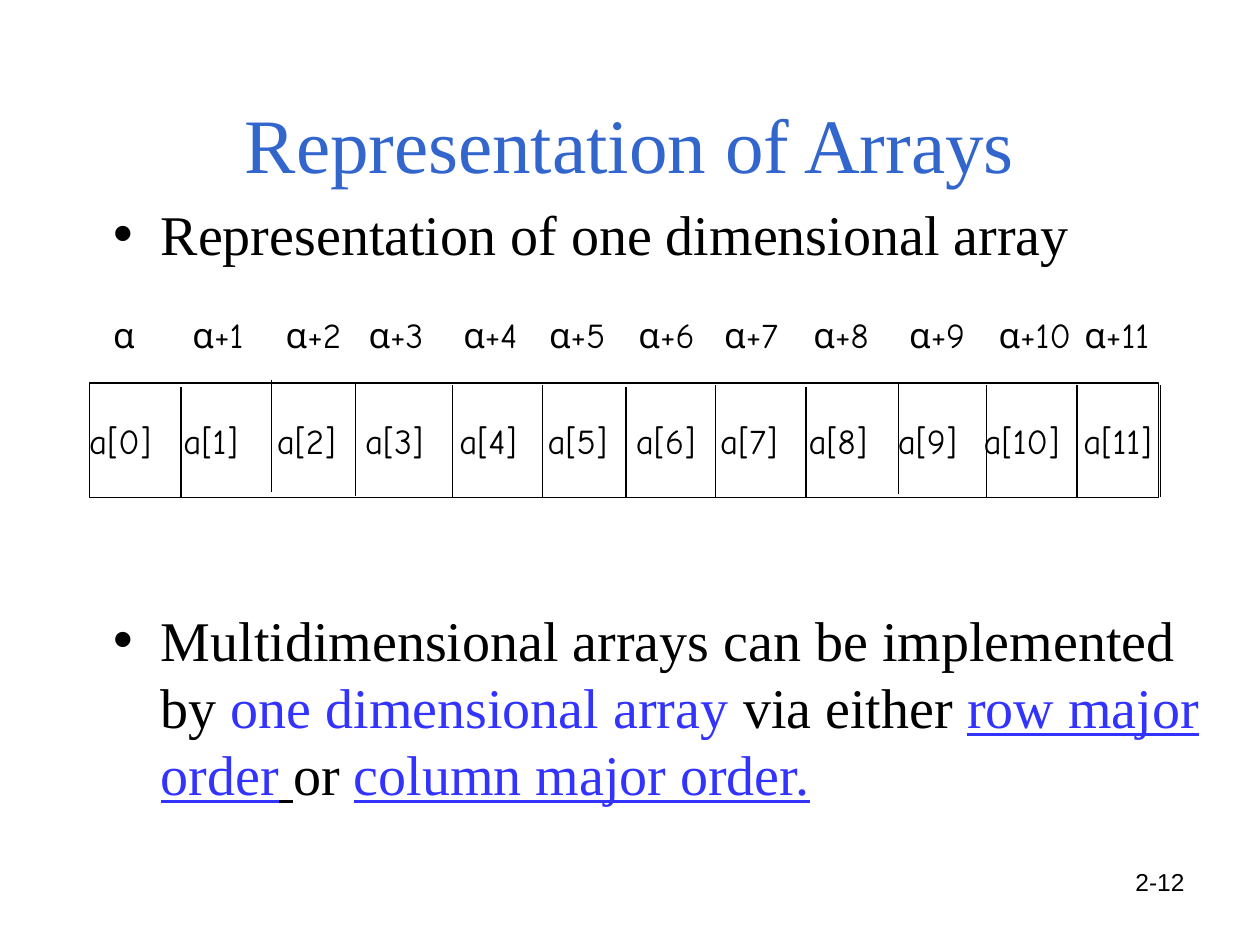
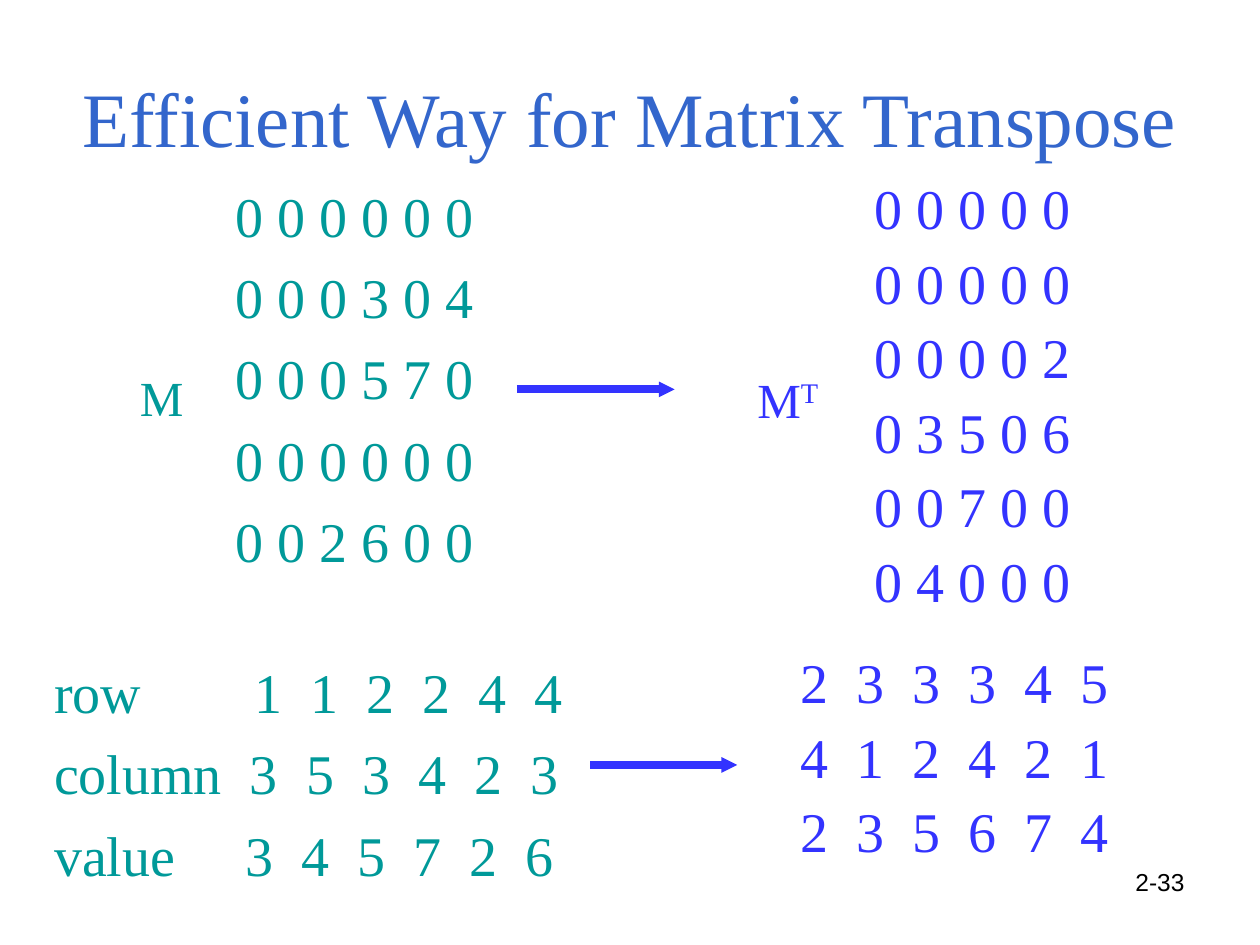
from lxml.etree import SubElement
from pptx import Presentation
from pptx.dml.color import RGBColor
from pptx.enum.shapes import MSO_CONNECTOR, MSO_SHAPE
from pptx.enum.text import MSO_ANCHOR, MSO_AUTO_SIZE, PP_ALIGN
from pptx.oxml.ns import qn
from pptx.util import Cm, Pt

SERIF, COMIC, SANS = "Times New Roman", "Comic Neue", "Arial"
TITLE_BLUE, BLUE, TEAL, BLACK = "3366CC", "3333FF", "009999", "000000"

ADDRESS_LEFTS = (
    0.23, 1.83, 3.71, 5.38, 7.29, 9.02, 10.82, 12.55, 14.35, 16.28, 18.08, 19.81
)
ELEMENT_LEFTS = (
    -0.25, 1.65, 3.53, 5.31, 7.21, 8.99, 10.77, 12.47, 14.25, 16.05, 17.78, 19.79
)
DIVIDERS = (
    (1.85, 0.08), (3.68, -0.05), (5.36, 0.03), (7.32, 0.05),
    (9.14, 0.05), (10.82, 0.08), (12.62, 0.05), (14.45, 0.08),
    (16.31, 0), (18.08, 0.05), (19.91, 0.05), (21.59, 0.05),
)


def color(hex_string):
    return RGBColor.from_string(hex_string)


def format_runs(paragraph, font, size, hex_string):
    for run in paragraph.runs:
        run.font.name = font
        run.font.size = Pt(size)
        run.font.color.rgb = color(hex_string)


def place(shape, box):
    shape.left, shape.top, shape.width, shape.height = (Cm(value) for value in box)
    frame = shape.text_frame
    frame.word_wrap = True
    frame.auto_size = MSO_AUTO_SIZE.NONE
    frame.margin_left = frame.margin_right = Cm(0.25)
    frame.margin_top = frame.margin_bottom = Cm(0.13)
    return frame


def add_text(slide, box, text, font, size, hex_string, align=PP_ALIGN.LEFT):
    shape = slide.shapes.add_textbox(*(Cm(value) for value in box))
    frame = place(shape, box)
    frame.text = text
    for paragraph in frame.paragraphs:
        paragraph.alignment = align
        format_runs(paragraph, font, size, hex_string)
    return frame


def add_line(slide, start, end, hex_string, width, arrow=False):
    points = (Cm(value) for value in (*start, *end))
    connector = slide.shapes.add_connector(MSO_CONNECTOR.STRAIGHT, *points)
    connector.line.color.rgb = color(hex_string)
    connector.line.width = Pt(width)
    properties = connector._element.spPr
    if arrow:
        line = properties.find(qn("a:ln"))
        SubElement(line, qn("a:tailEnd"), type="triangle", w="sm", len="sm")
    SubElement(properties, qn("a:effectLst"))


def add_slide(presentation, layout, title, anchor, number):
    slide = presentation.slides.add_slide(presentation.slide_layouts[layout])
    frame = place(slide.shapes.title, (1.27, 0.76, 22.86, 3.18))
    frame.text = title
    frame.vertical_anchor = anchor
    frame.paragraphs[0].alignment = PP_ALIGN.CENTER
    format_runs(frame.paragraphs[0], SERIF, 44, TITLE_BLUE)
    add_text(slide, (18.21, 17.35, 5.92, 1.32), number, SANS, 14, BLACK, PP_ALIGN.RIGHT)
    return slide


def add_bullets(slide, box, bullets, gap):
    frame = place(slide.placeholders[1], box)
    for index, pieces in enumerate(bullets):
        paragraph = frame.add_paragraph() if index else frame.paragraphs[0]
        paragraph.space_before = Pt(gap if index else 0)
        properties = paragraph._p.get_or_add_pPr()
        properties.set("marL", str(Cm(0.96)))
        properties.set("indent", str(-Cm(0.96)))
        SubElement(properties, qn("a:buChar"), char="•")
        for text, hex_string, underline in pieces:
            run = paragraph.add_run()
            run.text = text
            run.font.name = SERIF
            run.font.size = Pt(32)
            run.font.color.rgb = color(hex_string)
            run.font.underline = underline


def add_array(slide, box):
    left, top = box[:2]
    frame = slide.shapes.add_shape(MSO_SHAPE.RECTANGLE, *(Cm(value) for value in box))
    frame.shadow.inherit = False
    frame.fill.background()
    frame.line.color.rgb = color(BLACK)
    frame.line.width = Pt(0.75)
    for offset, drop in DIVIDERS:
        x, y = left + offset, top + drop
        add_line(slide, (x, y), (x, y + 2.24), BLACK, 0.75)
    for index, lefts in enumerate(zip(ADDRESS_LEFTS, ELEMENT_LEFTS)):
        labels = (f"α+{index}" if index else "α", f"a[{index}]")
        width = 2.4 if index >= 10 else 1.98
        for offset, drop, label in zip(lefts, (-1.52, 0.61), labels):
            label_box = (left + offset, top + drop, width, 1.12)
            add_text(slide, label_box, label, COMIC, 20, BLACK)


def add_rows(slide, box, rows, hex_string, spacing=1.0, tabs=(), tab_shift=0):
    frame = add_text(slide, box, "\n".join(rows), SERIF, 32, hex_string)
    for index, paragraph in enumerate(frame.paragraphs):
        paragraph.line_spacing = spacing
        paragraph.space_before = Pt(8 if index else 0)
        if tabs:
            tab_list = SubElement(paragraph._p.get_or_add_pPr(), qn("a:tabLst"))
            for position in tabs:
                stop = Cm(position + index * tab_shift)
                SubElement(tab_list, qn("a:tab"), pos=str(stop), algn="l")


def add_matrix_name(slide, box, hex_string, superscript=""):
    frame = add_text(slide, box, "M", SERIF, 28, hex_string, PP_ALIGN.CENTER)
    if superscript:
        paragraph = frame.paragraphs[0]
        run = paragraph.add_run()
        run.text = superscript
        format_runs(paragraph, SERIF, 28, hex_string)
        run._r.get_or_add_rPr().set("baseline", "30000")


def build_array_slide(presentation):
    slide = add_slide(presentation, 1, "Representation of Arrays", MSO_ANCHOR.BOTTOM, "2-12")
    bullets = [
        [("Representation of one dimensional array", BLACK, False)],
        [
            ("Multidimensional arrays can be implemented by ", BLACK, False),
            ("one dimensional array", BLUE, False),
            (" via either ", BLACK, False),
            ("row major order", BLUE, True),
            (" ", BLACK, True),
            ("or ", BLACK, False),
            ("column major order.", BLUE, True),
        ],
    ]
    add_bullets(slide, (2.03, 3.89, 22.86, 12.57), bullets, 193.5)
    add_array(slide, (1.8, 7.72, 21.56, 2.31))


def build_transpose_slide(presentation):
    slide = add_slide(
        presentation, 5, "Efficient Way for Matrix Transpose", MSO_ANCHOR.MIDDLE, "2-33"
    )
    matrix = ["000000", "000304", "000570", "000000", "002600"]
    transposed = ["00000", "00000", "00002", "03506", "00700", "04000"]
    triples = ["row 112244", "column 353423", "value 345726"]
    transposed_triples = ["233345", "412421", "235674"]
    digit_step = 1.13
    label_width = 4.04

    add_rows(slide, (4.5, 3.53, 5.92, 9.4), [" ".join(row) for row in matrix], TEAL)
    add_rows(
        slide, (17.37, 3.53, 5.28, 11.86), [" ".join(row) for row in transposed], BLUE, 0.9
    )
    labelled = ["\t".join((label, *digits)) for label, digits in map(str.split, triples)]
    label_tabs = [label_width + index * digit_step for index in range(6)]
    add_rows(
        slide,
        (0.84, 13.13, 12.06, 5.51),
        labelled,
        TEAL,
        tabs=label_tabs,
        tab_shift=-0.09,
    )
    digit_tabs = [index * digit_step for index in range(1, 6)]
    add_rows(
        slide,
        (15.88, 13.08, 6.78, 4.85),
        ["\t".join(row) for row in transposed_triples],
        BLUE,
        0.9,
        digit_tabs,
    )
    add_matrix_name(slide, (1.76, 7.27, 3, 1.45), TEAL)
    add_matrix_name(slide, (14.38, 7.32, 3, 1.45), BLUE, "T")
    add_line(slide, (10.42, 7.85), (13.6, 7.85), BLUE, 4.5, arrow=True)
    add_line(slide, (11.9, 15.42), (14.86, 15.42), BLUE, 4.5, arrow=True)


def main():
    presentation = Presentation()
    presentation.slide_width = Cm(25.4)
    presentation.slide_height = Cm(19.05)
    build_array_slide(presentation)
    build_transpose_slide(presentation)
    presentation.save("out.pptx")


if __name__ == "__main__":
    main()
